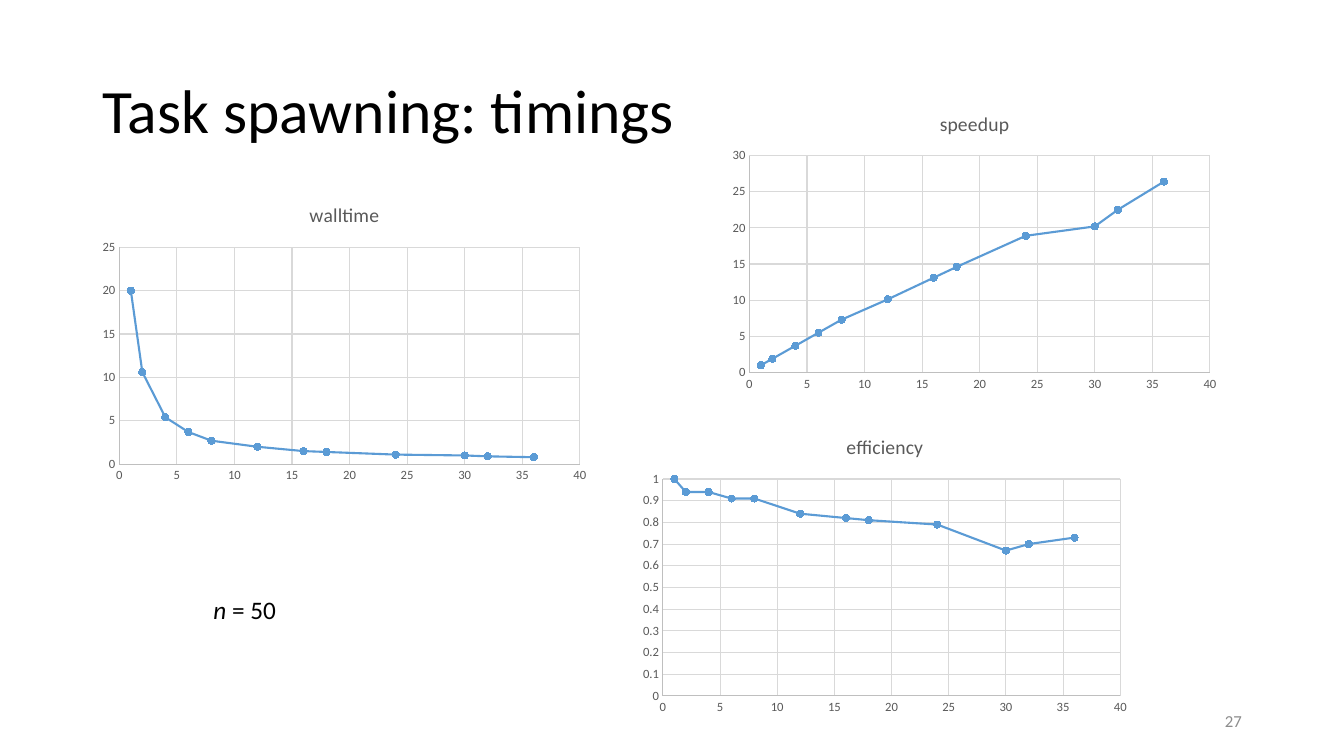
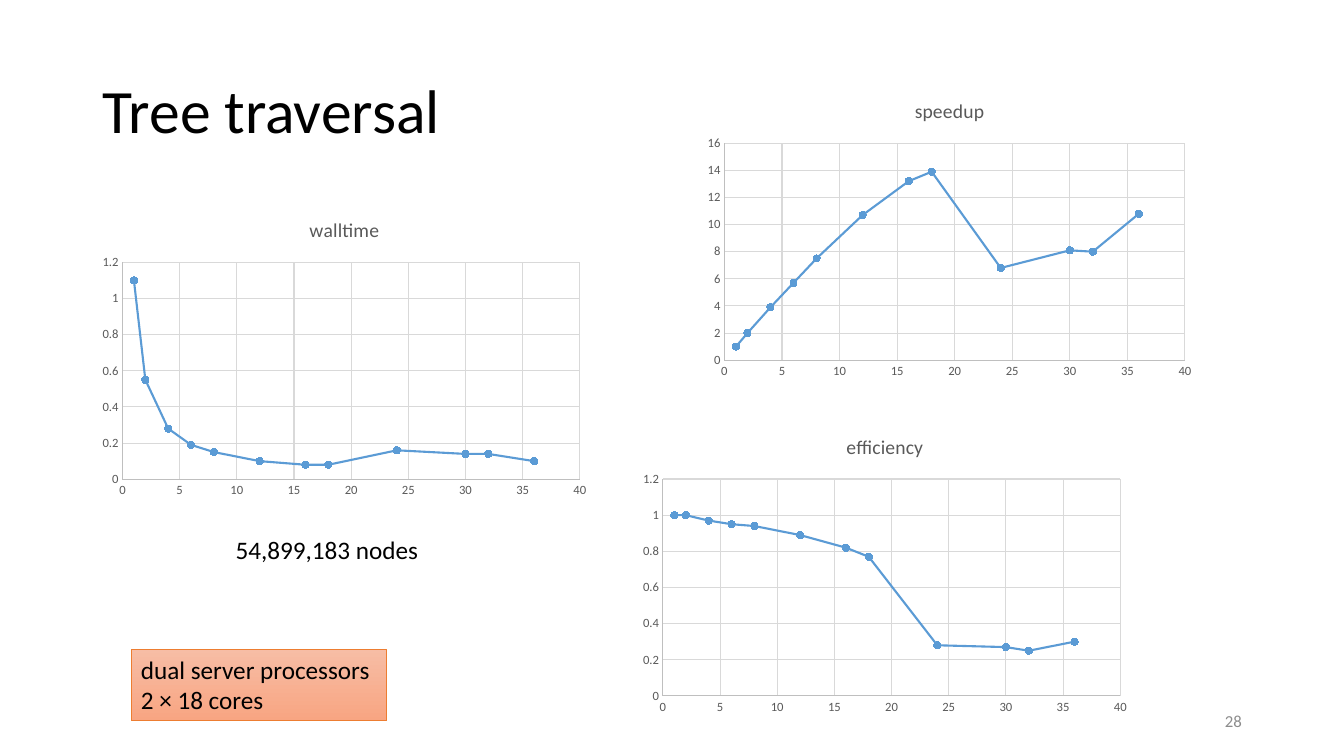
from pptx import Presentation
from pptx.chart.data import XyChartData
from pptx.dml.color import RGBColor
from pptx.enum.chart import XL_CHART_TYPE, XL_MARKER_STYLE, XL_TICK_MARK
from pptx.enum.shapes import MSO_SHAPE
from pptx.enum.text import MSO_ANCHOR, MSO_AUTO_SIZE, PP_ALIGN
from pptx.util import Cm, Pt

SMOOTH = XL_CHART_TYPE.XY_SCATTER_SMOOTH
CIRCLE = XL_MARKER_STYLE.CIRCLE
NO_TICK = XL_TICK_MARK.NONE
RECTANGLE = MSO_SHAPE.RECTANGLE
TOP, MIDDLE = MSO_ANCHOR.TOP, MSO_ANCHOR.MIDDLE
LEFT, RIGHT = PP_ALIGN.LEFT, PP_ALIGN.RIGHT
FIXED = MSO_AUTO_SIZE.NONE

FONT = "Calibri"
COLORS = {
    "text": "000000",
    "muted": "8C8C8C",
    "label": "595959",
    "axis": "BFBFBF",
    "grid": "D9D9D9",
    "series": "5B9BD5",
    "machine_top": "F7BDA5",
    "machine_bottom": "F8A582",
    "machine_line": "ED7D31",
}
TITLE_ONLY = 5
TITLE_AREA = (2.33, 1.02, 29.21, 3.68)
NUMBER_AREA = (23.93, 17.65, 7.62, 1.01)
CHART_SIZE = (12.7, 7.62)
CORES = [1, 2, 4, 6, 8, 12, 16, 18, 24, 30, 32, 36]

SLIDES = [
    {
        "title": "Task spawning: timings",
        "number": "27",
        "charts": [
            ("walltime", (2.33, 4.7), None,
             [20, 10.6, 5.4, 3.7, 2.7, 2, 1.5, 1.4, 1.1, 1, 0.9, 0.8]),
            ("speedup", (18.21, 2.39), None,
             [1, 1.9, 3.7, 5.5, 7.3, 10.1, 13.1, 14.6, 18.9, 20.2, 22.5, 26.4]),
            ("efficiency", (15.95, 10.54), 1,
             [1, 0.94, 0.94, 0.91, 0.91, 0.84, 0.82, 0.81, 0.79, 0.67, 0.7, 0.73]),
        ],
        "problem_size": ((5.13, 14.86, 2.11, 1.02), [("n", True), (" = 50", False)]),
    },
    {
        "title": "Tree traversal",
        "number": "28",
        "charts": [
            ("walltime", (2.33, 5.08), None,
             [1.1, 0.55, 0.28, 0.19, 0.15, 0.1, 0.08, 0.08, 0.16, 0.14, 0.14, 0.1]),
            ("speedup", (17.58, 2.08), None,
             [1, 2, 3.9, 5.7, 7.5, 10.7, 13.2, 13.9, 6.8, 8.1, 8, 10.8]),
            ("efficiency", (15.95, 10.54), None,
             [1, 1, 0.97, 0.95, 0.94, 0.89, 0.82, 0.77, 0.28, 0.27, 0.25, 0.3]),
        ],
        "problem_size": ((5.69, 13.34, 5.16, 1.02), [("54,899,183 nodes", False)]),
        "machine": ((3.3, 16.36, 6.45, 1.8), ["dual server processors", "2 × 18 cores"]),
    },
]


def color(name):
    return RGBColor.from_string(COLORS[name])


def lengths(values):
    return [Cm(value) for value in values]


def set_font(font, size, name):
    font.name = FONT
    font.size = Pt(size)
    font.bold = False
    font.color.rgb = color(name)


def set_line(line, name, width):
    line.color.rgb = color(name)
    line.width = Pt(width)


def write(box, paragraphs, size, name="text", align=LEFT, anchor=TOP, wrap=True):
    frame = box.text_frame
    frame.word_wrap = wrap
    frame.auto_size = FIXED
    frame.vertical_anchor = anchor
    for index, runs in enumerate(paragraphs):
        para = frame.add_paragraph() if index else frame.paragraphs[0]
        para.alignment = align
        set_font(para.font, size, name)
        for text, italic in runs:
            span = para.add_run()
            span.text = text
            if italic:
                span.font.italic = True


def add_title(page, text):
    title = page.shapes.title
    title.left, title.top, title.width, title.height = lengths(TITLE_AREA)
    write(title, [[(text, False)]], 44, anchor=MIDDLE)
    title.text_frame.paragraphs[0].line_spacing = 0.9


def add_text(page, area, runs, size, **style):
    box = page.shapes.add_textbox(*lengths(area))
    write(box, [runs], size, **style)


def add_machine(page, area, lines):
    box = page.shapes.add_shape(RECTANGLE, *lengths(area))
    box.shadow.inherit = False
    box.fill.gradient()
    box.fill.gradient_angle = 270
    for stop, name in zip(box.fill.gradient_stops, ("machine_top", "machine_bottom")):
        stop.color.rgb = color(name)
    set_line(box.line, "machine_line", 0.5)
    write(box, [[(line, False)] for line in lines], 18)


def format_axis(axis):
    axis.major_tick_mark = axis.minor_tick_mark = NO_TICK
    axis.has_major_gridlines = True
    set_line(axis.major_gridlines.format.line, "grid", 0.75)
    set_line(axis.format.line, "axis", 0.75)
    axis.tick_labels.number_format = "General"
    axis.tick_labels.number_format_is_linked = False
    set_font(axis.tick_labels.font, 9, "label")


def add_timing_chart(page, name, place, maximum, values):
    data = XyChartData()
    points = data.add_series(name)
    for cores, value in zip(CORES, values):
        points.add_data_point(cores, value)
    chart = page.shapes.add_chart(SMOOTH, *lengths(place + CHART_SIZE), data).chart
    set_font(chart.font, 10, "text")
    chart.has_legend = False
    chart.has_title = True
    heading = chart.chart_title.text_frame
    heading.text = name
    set_font(heading.paragraphs[0].font, 14, "label")
    for axis in (chart.category_axis, chart.value_axis):
        format_axis(axis)
    if maximum is not None:
        chart.value_axis.maximum_scale = maximum
    plot = chart.plots[0]
    plot.vary_by_categories = False
    series = plot.series[0]
    series.smooth = True
    set_line(series.format.line, "series", 1.5)
    marker = series.marker
    marker.style = CIRCLE
    marker.size = 5
    marker.format.fill.solid()
    marker.format.fill.fore_color.rgb = color("series")
    set_line(marker.format.line, "series", 0.75)


def main():
    deck = Presentation()
    deck.slide_width, deck.slide_height = Cm(33.87), Cm(19.05)
    for content in SLIDES:
        page = deck.slides.add_slide(deck.slide_layouts[TITLE_ONLY])
        add_title(page, content["title"])
        add_text(page, NUMBER_AREA, [(content["number"], False)], 12,
                 name="muted", align=RIGHT, anchor=MIDDLE)
        for chart in content["charts"]:
            add_timing_chart(page, *chart)
        if "machine" in content:
            add_machine(page, *content["machine"])
        add_text(page, *content["problem_size"], 18, wrap=False)
    deck.save("out.pptx")


if __name__ == "__main__":
    main()
